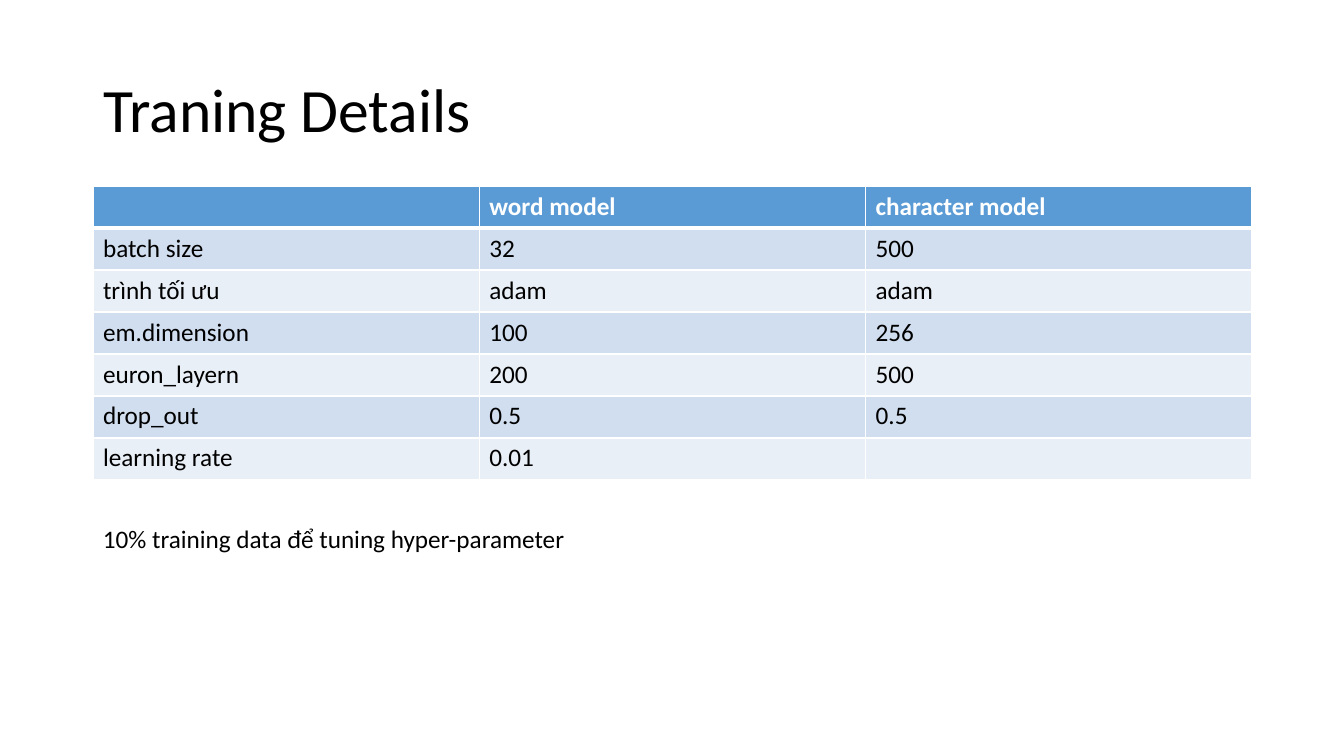
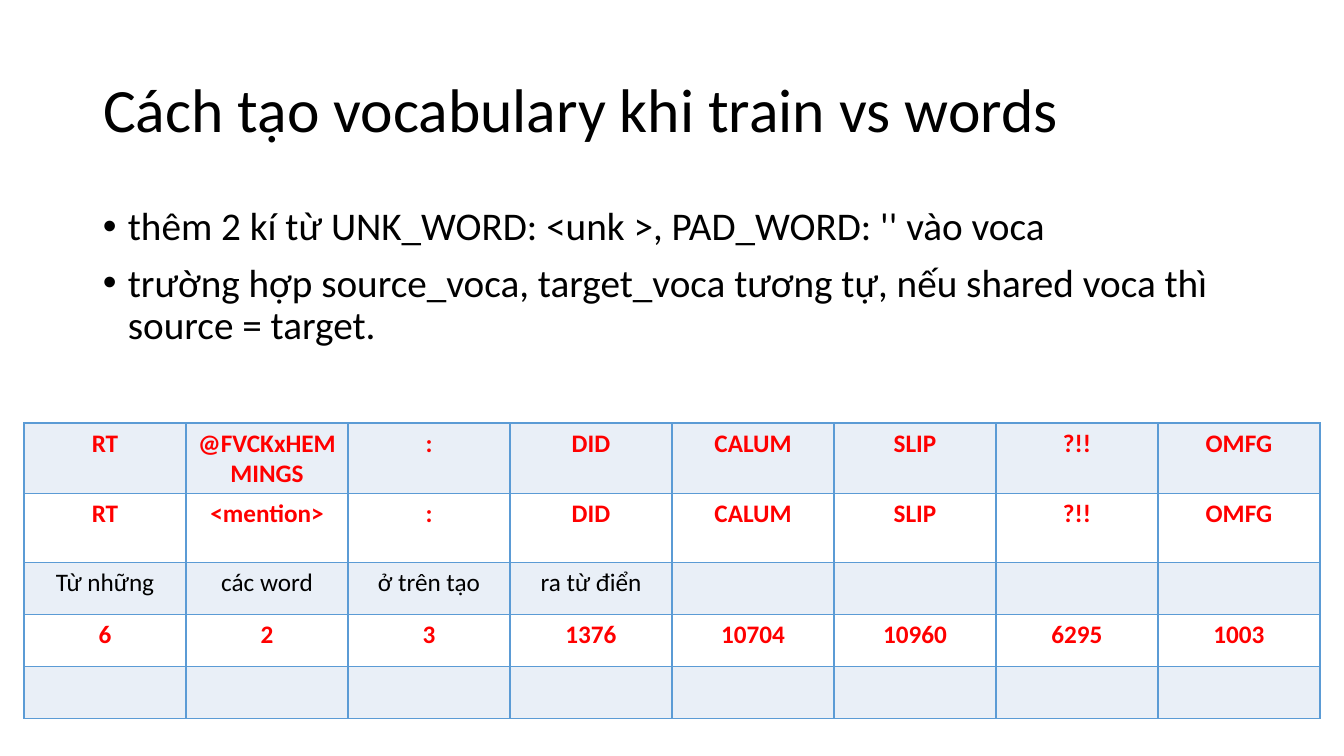
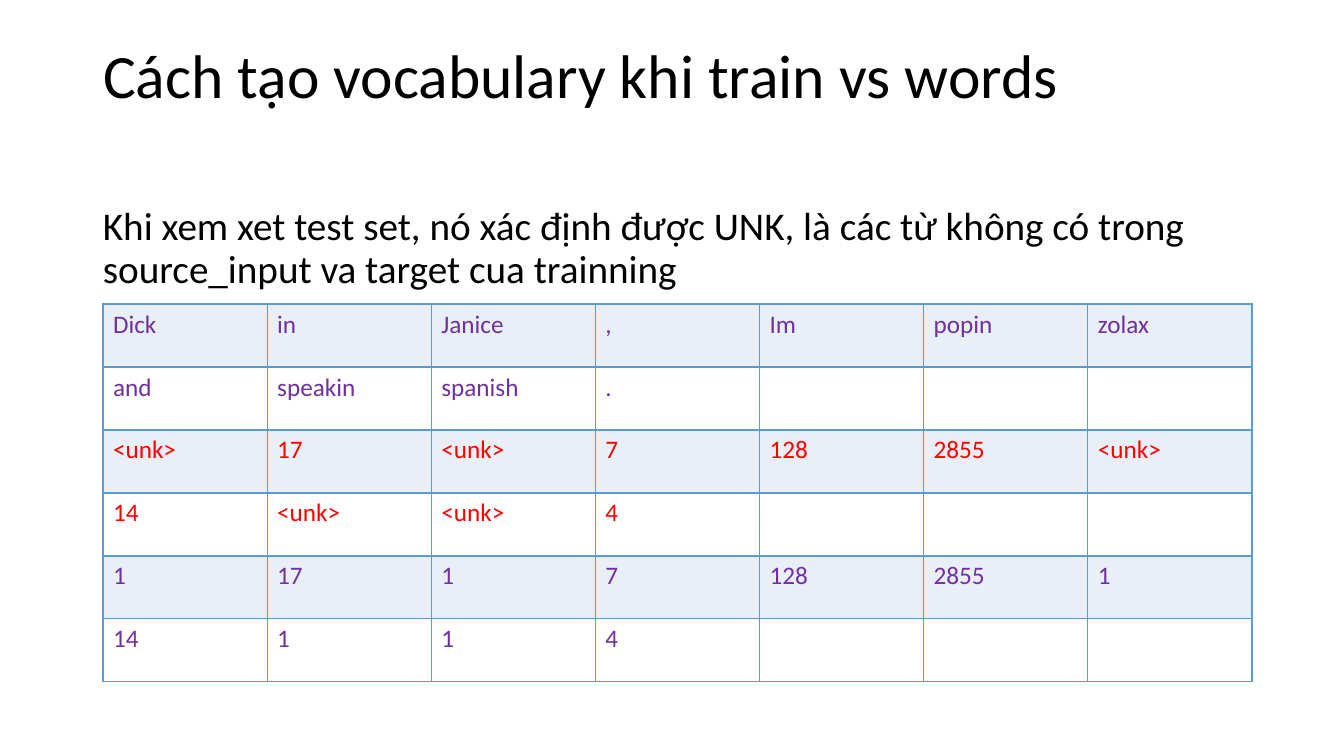
from lxml.etree import SubElement
from pptx import Presentation
from pptx.dml.color import RGBColor
from pptx.enum.text import MSO_ANCHOR, MSO_AUTO_SIZE, PP_ALIGN
from pptx.oxml.ns import qn
from pptx.util import Emu, Pt

FONT = "Calibri"
BLACK, WHITE, RED, PURPLE = "000000", "FFFFFF", "FF0000", "7030A0"
BLUE, MID_BLUE, PALE_BLUE = "5B9BD5", "D1DEEF", "E9EFF7"
TITLE_BOX = (93, 40, 1159, 146)
BODY_BOX = (93, 202, 1159, 480)
THIN, THICK = 0.96, 3


def px(n):
    """Turn pixels into EMU."""
    return Emu(round(n * 914400 / 100.8))


def rgb(color):
    """Turn a hex string into a colour."""
    return RGBColor.from_string(color)


def style(p, size, color=BLACK, bold=False, align=PP_ALIGN.LEFT):
    """Format a paragraph and its runs."""
    p.alignment = align
    for r in p.runs:
        r.font.name, r.font.size, r.font.bold = FONT, Pt(size), bold
        r.font.color.rgb = rgb(color)


def add_titled_slide(prs, title, anchor=MSO_ANCHOR.MIDDLE):
    """Add a title-only slide and format its title."""
    s = prs.slides.add_slide(prs.slide_layouts[5])
    sp = s.shapes.title
    sp.left, sp.top, sp.width, sp.height = map(px, TITLE_BOX)
    tf = sp.text_frame
    tf.text = title
    tf.word_wrap, tf.auto_size = True, MSO_AUTO_SIZE.NONE
    tf.vertical_anchor = anchor
    p = tf.paragraphs[0]
    p.line_spacing = 0.9
    style(p, 44)
    return s


def add_bullet(p):
    """Give a paragraph a hanging round bullet."""
    pPr = p._p.get_or_add_pPr()
    pPr.set("marL", str(px(25)))
    pPr.set("indent", str(-px(25)))
    SubElement(pPr, qn("a:buFont"), typeface="Arial")
    SubElement(pPr, qn("a:buChar"), char="•")


def add_text(s, box, lines, size):
    """Add a wrapped text box with one paragraph per line."""
    tf = s.shapes.add_textbox(*map(px, box)).text_frame
    tf.word_wrap = True
    tf.text = "\n".join(lines)
    for p in tf.paragraphs:
        style(p, size)
    return tf.paragraphs


def add_body(s, lines, bullets=False):
    """Add the main text of a slide."""
    for p in add_text(s, BODY_BOX, lines, 28):
        p.line_spacing, p.space_before = 0.9, Pt(10)
        if bullets:
            add_bullet(p)


def set_borders(cell, color, top, bottom):
    """Draw the four borders of a cell."""
    tcPr = cell._tc.get_or_add_tcPr()
    for side, width in zip("LRTB", (THIN, THIN, top, bottom)):
        ln = SubElement(tcPr, qn(f"a:ln{side}"), w=str(Pt(width)))
        fill = SubElement(ln, qn("a:solidFill"))
        SubElement(fill, qn("a:srgbClr"), val=color)


def add_grid(s, box, heights, cols, rows, border, align=PP_ALIGN.LEFT, header_rule=THIN):
    """Add a table from rows of fill, text colour, bold and texts."""
    tbl = s.shapes.add_table(len(rows), cols, *map(px, box)).table
    tbl.first_row = tbl.horz_banding = False
    for col in tbl.columns:
        col.width = px(box[2] / cols)
    for i, (fill, color, bold, texts) in enumerate(rows):
        tbl.rows[i].height = px(heights[i])
        top = header_rule if i == 1 else THIN
        bottom = header_rule if i == 0 else THIN
        for j in range(cols):
            cell = tbl.cell(i, j)
            set_borders(cell, border, top, bottom)
            cell.fill.solid()
            cell.fill.fore_color.rgb = rgb(fill)
            if j < len(texts) and texts[j]:
                cell.text = texts[j]
                style(cell.text_frame.paragraphs[0], 18, color, bold, align)


def band(rows, fills):
    """Put alternating fills in front of the rows."""
    return [(fills[i % 2], *row) for i, row in enumerate(rows)]


def build_training(prs):
    """Build the slide of training settings."""
    s = add_titled_slide(prs, "Traning Details")
    settings = [
        ("batch size", "32", "500"),
        ("trình tối ưu", "adam", "adam"),
        ("em.dimension", "100", "256"),
        ("euron_layern", "200", "500"),
        ("drop_out", "0.5", "0.5"),
        ("learning rate", "0.01"),
    ]
    header = (BLUE, WHITE, True, ("", "word model", "character model"))
    rows = band([(BLACK, False, texts) for texts in settings], (MID_BLUE, PALE_BLUE))
    add_grid(s, (93, 186, 1159, 294), [42] * 7, 3, [header, *rows], WHITE, header_rule=THICK)
    add_text(s, (93, 518, 1167, 40), ["10% training data để tuning hyper-parameter"], 18)


def build_vocabulary(prs):
    """Build the slide on making the vocabulary."""
    s = add_titled_slide(prs, "Cách tạo vocabulary khi train vs words")
    add_body(s, [
        "thêm 2 kí từ UNK_WORD: <unk >, PAD_WORD: '' vào voca",
        "trường hợp source_voca, target_voca tương tự, nếu shared voca thì source = target.",
    ], bullets=True)
    tail = (":", "DID", "CALUM", "SLIP", "?!!", "OMFG")
    rows = [
        (RED, True, ("RT", "@FVCKxHEMMINGS", *tail)),
        (RED, True, ("RT", "<mention>", *tail)),
        (BLACK, False, ("Từ những", "các word", "ở trên tạo", "ra từ điển")),
        (RED, True, ("6", "2", "3", "1376", "10704", "10960", "6295", "1003")),
        (BLACK, False, ()),
    ]
    add_grid(s, (24, 423, 1296, 294), [69, 69, 52, 52, 52], 8,
             band(rows, (PALE_BLUE, WHITE)), BLUE, PP_ALIGN.CENTER)


def build_test_set(prs):
    """Build the slide on unknown words in the test set."""
    s = add_titled_slide(prs, "Cách tạo vocabulary khi train vs words", MSO_ANCHOR.TOP)
    add_body(s, ["Khi xem xet test set, nó xác định được UNK, là các từ không có trong "
                 "source_input va target cua trainning"])
    rows = [
        (PURPLE, False, ("Dick", "in", "Janice", ",", "Im", "popin", "zolax")),
        (PURPLE, False, ("and", "speakin", "spanish", ".")),
        (RED, False, ("<unk>", "17", "<unk>", "7", "128", "2855", "<unk>")),
        (RED, False, ("14", "<unk>", "<unk>", "4")),
        (PURPLE, False, ("1", "17", "1", "7", "128", "2855", "1")),
        (PURPLE, False, ("14", "1", "1", "4")),
    ]
    add_grid(s, (103, 304, 1149, 378), [63] * 6, 7, band(rows, (PALE_BLUE, WHITE)), BLUE)


prs = Presentation()
prs.slide_width, prs.slide_height = px(1344), px(756)
for build in (build_training, build_vocabulary, build_test_set):
    build(prs)
prs.save("out.pptx")
